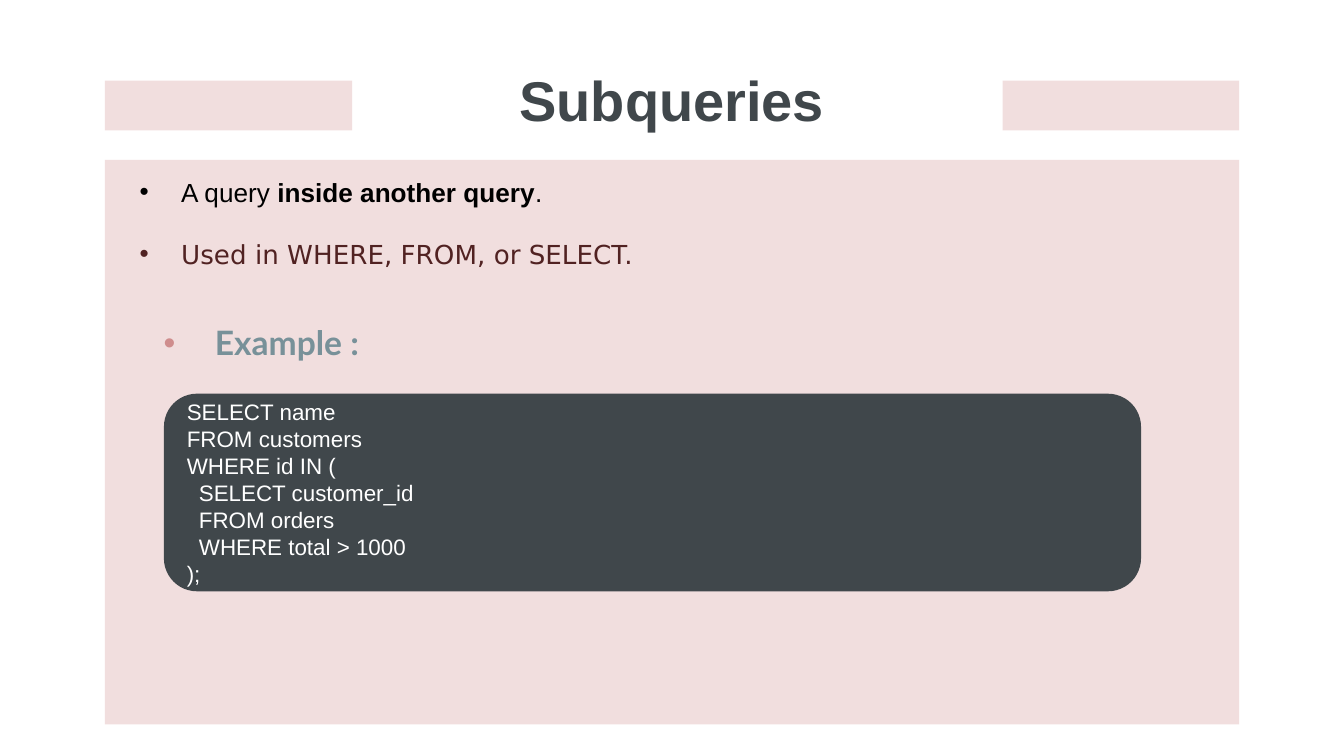
from pptx import Presentation
from pptx.dml.color import RGBColor
from pptx.enum.shapes import MSO_SHAPE
from pptx.enum.text import MSO_ANCHOR, PP_ALIGN
from pptx.oxml import parse_xml
from pptx.oxml.ns import nsdecls
from pptx.util import Inches, Pt

RECT, ROUND = MSO_SHAPE.RECTANGLE, MSO_SHAPE.ROUNDED_RECTANGLE
MIDDLE, BOTTOM = MSO_ANCHOR.MIDDLE, MSO_ANCHOR.BOTTOM
LEFT, CENTER = PP_ALIGN.LEFT, PP_ALIGN.CENTER

SLATE = RGBColor(0x40, 0x47, 0x4B)
PINK = RGBColor(0xF1, 0xDE, 0xDE)
ROSE = RGBColor(0xCF, 0x8D, 0x8D)
TEAL = RGBColor(0x78, 0x91, 0x99)
WINE = RGBColor(0x51, 0x22, 0x22)
BLACK = RGBColor(0, 0, 0)
WHITE = RGBColor(255, 255, 255)

# Each line of the query with its depth
CODE = [
    ("SELECT name", 0),
    ("FROM customers", 0),
    ("WHERE id IN (", 0),
    ("SELECT customer_id", 1),
    ("FROM orders", 1),
    ("WHERE total > 1000", 1),
    (");", 0),
]
STEP = 0.09


def add_block(slide, kind, box, fill):
    shape = slide.shapes.add_shape(kind, *map(Inches, box))
    shape.shadow.inherit = False
    shape.fill.solid()
    shape.fill.fore_color.rgb = fill
    shape.line.fill.background()
    return shape


def add_box(slide, box):
    frame = slide.shapes.add_textbox(*map(Inches, box)).text_frame
    frame.word_wrap = True
    return frame


def set_pad(frame, pad):
    frame.margin_left = frame.margin_right = Inches(pad)
    frame.margin_top = frame.margin_bottom = Inches(pad)


def style(run, size, face, color, bold=False):
    font = run.font
    font.size, font.name, font.bold = Pt(size), face, bold
    font.color.rgb = color


def add_bullet(para, indent, color):
    props = para._p.get_or_add_pPr()
    props.set("marL", str(Inches(indent)))
    props.set("indent", str(-Inches(indent)))
    ns = nsdecls("a")
    props.append(parse_xml(f'<a:buClr {ns}><a:srgbClr val="{color}"/></a:buClr>'))
    props.append(parse_xml(f'<a:buFont {ns} typeface="Arial"/>'))
    props.append(parse_xml(f'<a:buChar {ns} char="•"/>'))


def add_title(slide):
    frame = add_box(slide, (0.78, 0.5, 8.44, 0.59))
    set_pad(frame, 0.1)
    frame.vertical_anchor = BOTTOM
    para = frame.paragraphs[0]
    para.text = "Subqueries"
    para.alignment = CENTER
    style(para.runs[0], 30, "Arial", SLATE, True)


def add_points(slide):
    frame = add_box(slide, (0.94, 1.26, 8.38, 0.81))
    first = frame.paragraphs[0]
    first.space_after = Pt(16.5)
    for text, bold in [("A query ", False), ("inside another query", True), (".", False)]:
        run = first.add_run()
        run.text = text
        style(run, 14, "Arial", BLACK, bold)
    add_bullet(first, 0.31, BLACK)

    second = frame.add_paragraph()
    second.text = "Used in WHERE, FROM, or SELECT."
    style(second.runs[0], 14, "DejaVu Sans", WINE)
    add_bullet(second, 0.31, WINE)


def add_label(slide):
    para = add_box(slide, (1.12, 2.35, 5, 0.4)).paragraphs[0]
    para.text = "Example :"
    style(para.runs[0], 18, "Lato", TEAL, True)
    add_bullet(para, 0.38, ROSE)


def add_code(slide):
    panel = add_block(slide, ROUND, (1.22, 2.93, 7.27, 1.47), SLATE)
    panel.adjustments[0] = 0.167
    frame = panel.text_frame
    set_pad(frame, 0.1)
    frame.vertical_anchor = MIDDLE
    frame.text = "\n".join(line for line, depth in CODE)
    for para, (line, depth) in zip(frame.paragraphs, CODE):
        para.alignment = LEFT
        para._p.get_or_add_pPr().set("marL", str(Inches(STEP * depth)))
        style(para.runs[0], 12, "Arial", WHITE)


def main():
    deck = Presentation()
    # Widescreen, 16 to 9
    deck.slide_width = Inches(10)
    deck.slide_height = deck.slide_width * 9 // 16
    slide = deck.slides.add_slide(deck.slide_layouts[6])

    # Heading between two bars
    add_title(slide)
    add_block(slide, RECT, (0.78, 0.6, 1.84, 0.37), PINK)
    add_block(slide, RECT, (7.46, 0.6, 1.76, 0.37), PINK)

    # Body panel with the example and the points
    add_block(slide, RECT, (0.78, 1.19, 8.44, 4.2), PINK)
    add_label(slide)
    add_code(slide)
    add_points(slide)

    deck.save("out.pptx")


if __name__ == "__main__":
    main()
